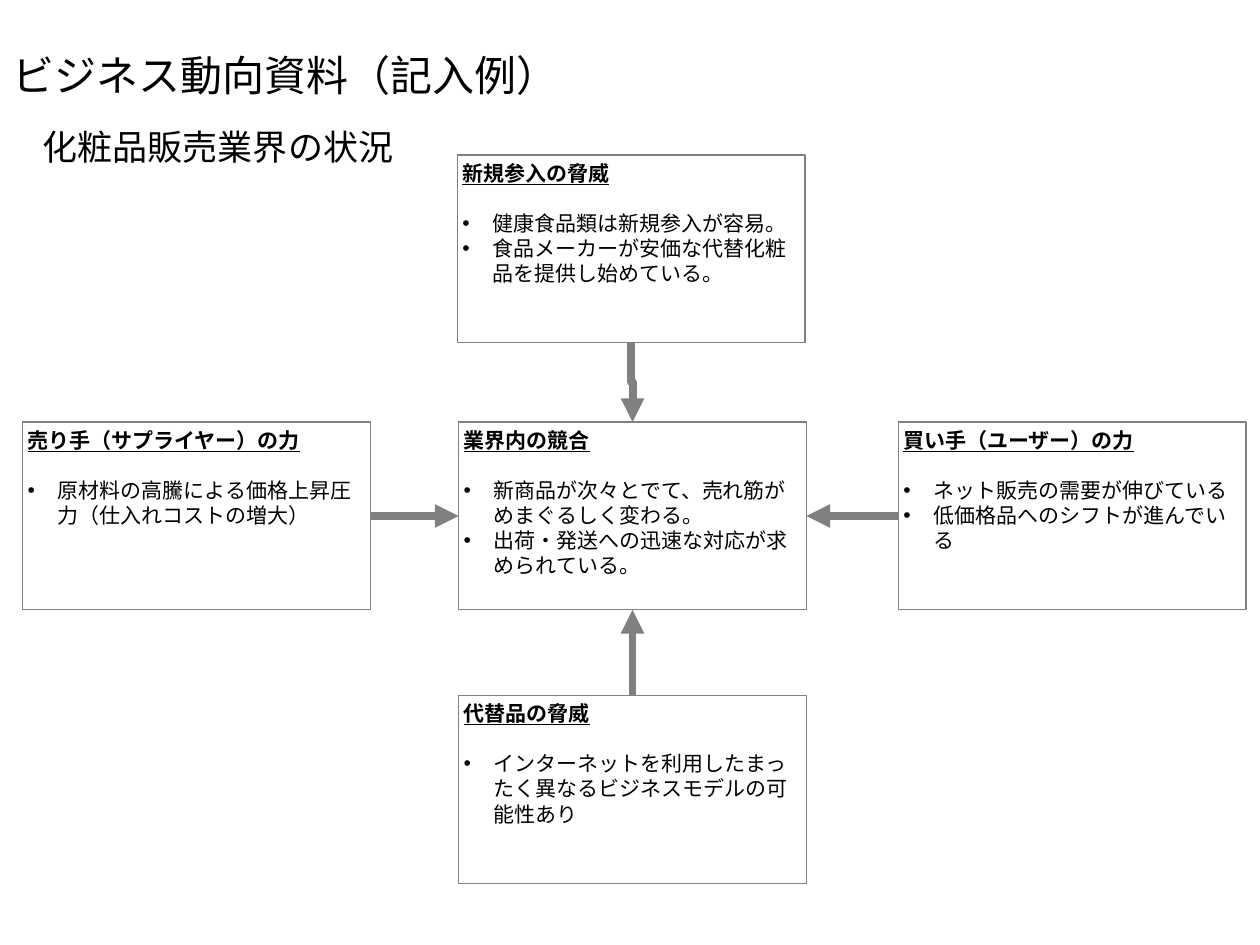
"""Build a five forces slide on the cosmetics retail industry."""
from dataclasses import dataclass

from lxml.etree import SubElement
from pptx import Presentation
from pptx.dml.color import RGBColor
from pptx.enum.shapes import MSO_CONNECTOR as Connector, MSO_SHAPE as Shape
from pptx.enum.text import MSO_ANCHOR as Anchor, PP_ALIGN as Align
from pptx.oxml.ns import qn
from pptx.util import Emu, Pt


@dataclass(frozen=True)
class Theme:
    font: str = "Times New Roman"
    ink: RGBColor = RGBColor(0, 0, 0)
    grey: RGBColor = RGBColor(0x80, 0x80, 0x80)
    title: int = 24
    subtitle: int = 20
    body: int = 12
    border: float = 0.75
    arrow: float = 4.5


def px(*lengths):
    return [Emu(length * 9144) for length in lengths]


def write(paragraph, text, size, **extra):
    paragraph.alignment = Align.LEFT
    run = paragraph.add_run()
    run.text = text
    run.font.color.rgb = theme.ink
    for name, value in {"name": theme.font, "size": Pt(size), **extra}.items():
        setattr(run.font, name, value)


theme = Theme()
presentation = Presentation()
presentation.slide_width, presentation.slide_height = px(1000, 750)
slide = presentation.slides.add_slide(presentation.slide_layouts[5])

title = slide.shapes.title
title.left, title.top, title.width, title.height = px(0, 24, 1000, 60)
title.text_frame.vertical_anchor = Anchor.BOTTOM
write(title.text_frame.paragraphs[0], "ビジネス動向資料（記入例）", theme.title)

forces = {
    "buyers": (713, 335, "買い手（ユーザー）の力",
               ["ネット販売の需要が伸びている", "低価格品へのシフトが進んでいる"]),
    "suppliers": (18, 335, "売り手（サプライヤー）の力",
                  ["原材料の高騰による価格上昇圧力（仕入れコストの増大）"]),
    "entrants": (363, 123, "新規参入の脅威",
                 ["健康食品類は新規参入が容易。",
                  "食品メーカーが安価な代替化粧品を提供し始めている。"]),
    "substitutes": (364, 552, "代替品の脅威",
                    ["インターネットを利用したまったく異なるビジネスモデルの可能性あり"]),
    "rivalry": (364, 335, "業界内の競合",
                ["新商品が次々とでて、売れ筋がめまぐるしく変わる。",
                 "出荷・発送への迅速な対応が求められている。"]),
}
inset, indent = px(4, 24)
frame_format = {"word_wrap": True, "vertical_anchor": Anchor.TOP,
                "margin_left": inset, "margin_right": inset,
                "margin_top": inset, "margin_bottom": inset}
boxes = {}
for force, (left, top, heading, points) in forces.items():
    box = slide.shapes.add_shape(Shape.RECTANGLE, *px(left, top, 276, 149))
    box.shadow.inherit = False
    box.fill.background()
    box.line.color.rgb = theme.grey
    box.line.width = Pt(theme.border)
    for name, value in frame_format.items():
        setattr(box.text_frame, name, value)
    write(box.text_frame.paragraphs[0], heading, theme.body, bold=True, underline=True)
    for index, point in enumerate(points):
        paragraph = box.text_frame.add_paragraph()
        properties = paragraph._p.get_or_add_pPr()
        properties.set("marL", str(indent))
        properties.set("indent", str(-indent))
        SubElement(properties, qn("a:buFont"), typeface="Arial")
        SubElement(properties, qn("a:buChar"), char="•")
        paragraph.space_before = Pt(0 if index else 14.3)
        write(paragraph, point, theme.body, bold=False, underline=False)
    boxes[force] = box

arrows = [
    ("suppliers", 3, 1, Connector.STRAIGHT, (294, 410, 364, 410), 0),
    ("entrants", 2, 0, Connector.ELBOW, (533, 303, 470, 304), 270),
    ("buyers", 1, 3, Connector.STRAIGHT, (713, 410, 640, 410), 0),
    ("substitutes", 0, 2, Connector.ELBOW, (468, 518, 536, 518), 270),
]
for force, begin_side, end_side, kind, ends, rotation in arrows:
    arrow = slide.shapes.add_connector(kind, *px(*ends))
    arrow.line.color.rgb = theme.grey
    arrow.line.width = Pt(theme.arrow)
    SubElement(arrow.line._get_or_add_ln(), qn("a:tailEnd"), type="triangle")
    SubElement(arrow._element.spPr, qn("a:effectLst"))
    if rotation:
        arrow._element.spPr.find(qn("a:xfrm")).set("rot", str(rotation * 60000))
    else:
        arrow.begin_connect(boxes[force], begin_side)
        arrow.end_connect(boxes["rivalry"], end_side)

subtitle = slide.shapes.add_textbox(*px(24, 95, 935, 48))
subtitle.text_frame.word_wrap = True
write(subtitle.text_frame.paragraphs[0], "化粧品販売業界の状況", theme.subtitle)

presentation.save("out.pptx")
